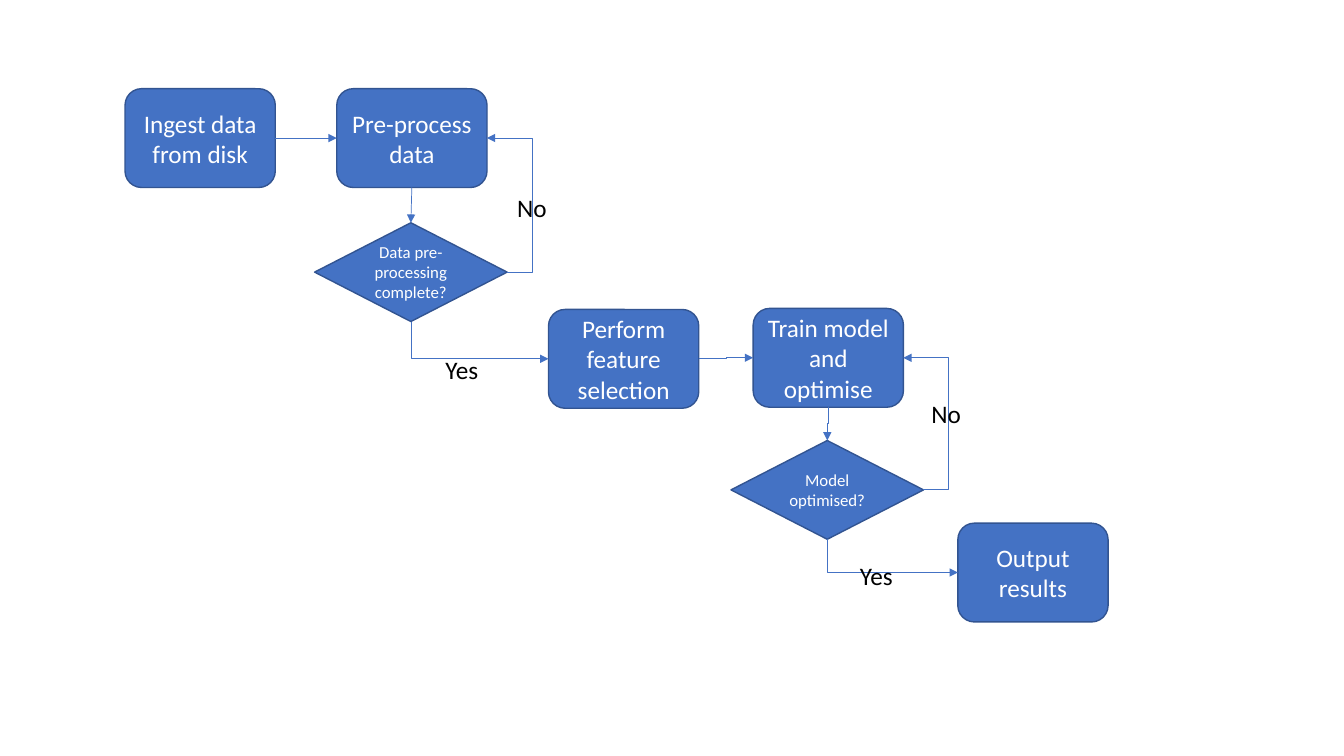
from dataclasses import dataclass

from lxml import etree
from pptx import Presentation
from pptx.dml.color import RGBColor
from pptx.enum.shapes import MSO_CONNECTOR, MSO_SHAPE
from pptx.enum.text import MSO_ANCHOR, MSO_AUTO_SIZE, PP_ALIGN
from pptx.oxml.ns import qn
from pptx.shapes.autoshape import Shape
from pptx.shapes.connector import Connector
from pptx.shapes.shapetree import SlideShapes
from pptx.text.text import TextFrame
from pptx.util import Inches, Pt

ROUND = MSO_SHAPE.ROUNDED_RECTANGLE
CHOICE = MSO_SHAPE.FLOWCHART_DECISION
ELBOW = MSO_CONNECTOR.ELBOW
STRAIGHT = MSO_CONNECTOR.STRAIGHT
CENTER, LEFT_AL = PP_ALIGN.CENTER, PP_ALIGN.LEFT
MIDDLE = MSO_ANCHOR.MIDDLE
GROW = MSO_AUTO_SIZE.SHAPE_TO_FIT_TEXT
TOP, LEFT, BOTTOM, RIGHT = range(4)
HIGH = 0.98
STEP_WIDE, TEST_WIDE = 1.49, 1.91
LOOP_OUT = Inches(0.25)


@dataclass(frozen=True)
class Theme:
    font: str = "Calibri"
    fill: RGBColor = RGBColor(0x44, 0x72, 0xC4)
    edge: RGBColor = RGBColor(0x32, 0x54, 0x91)
    light: RGBColor = RGBColor(0xFF, 0xFF, 0xFF)
    dark: RGBColor = RGBColor(0, 0, 0)
    large: Pt = Pt(18)
    small: Pt = Pt(12)
    border: Pt = Pt(1)
    wire: Pt = Pt(0.5)


THEME = Theme()


@dataclass(frozen=True)
class Node:
    key: str
    text: str
    left: float
    top: float
    test: bool = False


@dataclass(frozen=True)
class Link:
    start: str
    out: int
    end: str
    into: int
    route: str = "across"


@dataclass(frozen=True)
class Label:
    text: str
    left: float
    top: float
    wide: float


NODES = [
    Node("ingest", "Ingest data from disk", 1.24, 0.88),
    Node("clean", "Pre-process data", 3.34, 0.88),
    Node("select", "Perform feature selection", 5.44, 3.07),
    Node("train", "Train model and optimise", 7.47, 3.06),
    Node("cleaned", "Data pre-processing complete?", 3.12, 2.21, True),
    Node("tuned", "Model optimised?", 7.25, 4.37, True),
    Node("output", "Output results", 9.5, 5.19),
]
LINKS = [
    Link("ingest", RIGHT, "clean", LEFT),
    Link("clean", BOTTOM, "cleaned", TOP, "straight"),
    Link("cleaned", RIGHT, "clean", RIGHT, "loop"),
    Link("cleaned", BOTTOM, "select", LEFT, "corner"),
    Link("select", RIGHT, "train", LEFT),
    Link("train", BOTTOM, "tuned", TOP, "down"),
    Link("tuned", RIGHT, "train", RIGHT, "loop"),
    Link("tuned", BOTTOM, "output", LEFT, "corner"),
]
LABELS = [
    Label("No", 5.03, 1.86, 0.53),
    Label("Yes", 4.32, 3.47, 0.57),
    Label("No", 9.14, 3.9, 0.53),
    Label("Yes", 8.43, 5.51, 0.57),
]


def write(frame: TextFrame, text: str, size: Pt, color: RGBColor,
          align: PP_ALIGN) -> None:
    line = frame.paragraphs[0]
    line.alignment = align
    run = line.add_run()
    run.text = text
    run.font.name = THEME.font
    run.font.size = size
    run.font.color.rgb = color


def draw_node(shapes: SlideShapes, node: Node) -> Shape:
    kind, wide, size = ((CHOICE, TEST_WIDE, THEME.small) if node.test
                        else (ROUND, STEP_WIDE, THEME.large))
    shape = shapes.add_shape(kind, Inches(node.left), Inches(node.top),
                             Inches(wide), Inches(HIGH))
    shape.shadow.inherit = False
    shape.fill.solid()
    shape.fill.fore_color.rgb = THEME.fill
    shape.line.color.rgb = THEME.edge
    shape.line.width = THEME.border
    frame = shape.text_frame
    frame.word_wrap = True
    frame.vertical_anchor = MIDDLE
    write(frame, node.text, size, THEME.light, CENTER)
    return shape


def turn(wire: Connector, angle: int, flip: bool) -> None:
    """Rotate an elbow about its centre so that it leaves downwards."""
    wide, high = wire.width, wire.height
    mid_x, mid_y = wire.left + wide // 2, wire.top + high // 2
    wire.left, wire.top = mid_x - high // 2, mid_y - wide // 2
    wire.width, wire.height = high, wide
    frame = wire._element.spPr.find(qn("a:xfrm"))
    frame.set("rot", str(angle * 60000))
    frame.set("flipH", str(int(flip)))
    frame.set("flipV", "0")


def draw_link(shapes: SlideShapes, link: Link, nodes: dict[str, Shape]) -> None:
    kind = STRAIGHT if link.route == "straight" else ELBOW
    wire = shapes.add_connector(kind, 0, 0, 0, 0)
    wire.begin_connect(nodes[link.start], link.out)
    wire.end_connect(nodes[link.end], link.into)
    wire.line.color.rgb = THEME.fill
    wire.line.width = THEME.wire
    props = wire._element.spPr
    etree.SubElement(props.find(qn("a:ln")), qn("a:tailEnd"), type="triangle")
    etree.SubElement(props, qn("a:effectLst"))
    preset = props.find(qn("a:prstGeom"))
    if link.route == "corner":
        preset.set("prst", "bentConnector2")
        turn(wire, 270, True)
    elif link.route == "down":
        turn(wire, 90, False)
    elif link.route == "loop":
        bend = round(-LOOP_OUT / wire.width * 100000)
        etree.SubElement(preset.find(qn("a:avLst")), qn("a:gd"),
                         name="adj1", fmla=f"val {bend}")


def draw_label(shapes: SlideShapes, label: Label) -> None:
    box = shapes.add_textbox(Inches(label.left), Inches(label.top),
                             Inches(label.wide), Inches(0.4))
    frame = box.text_frame
    frame.word_wrap = False
    frame.auto_size = GROW
    write(frame, label.text, THEME.large, THEME.dark, LEFT_AL)


def main() -> None:
    deck = Presentation()
    deck.slide_width, deck.slide_height = Inches(13.33), Inches(7.5)
    shapes = deck.slides.add_slide(deck.slide_layouts[6]).shapes
    nodes = {node.key: draw_node(shapes, node) for node in NODES}
    for link in LINKS:
        draw_link(shapes, link, nodes)
    for label in LABELS:
        draw_label(shapes, label)
    deck.save("out.pptx")


if __name__ == "__main__":
    main()
